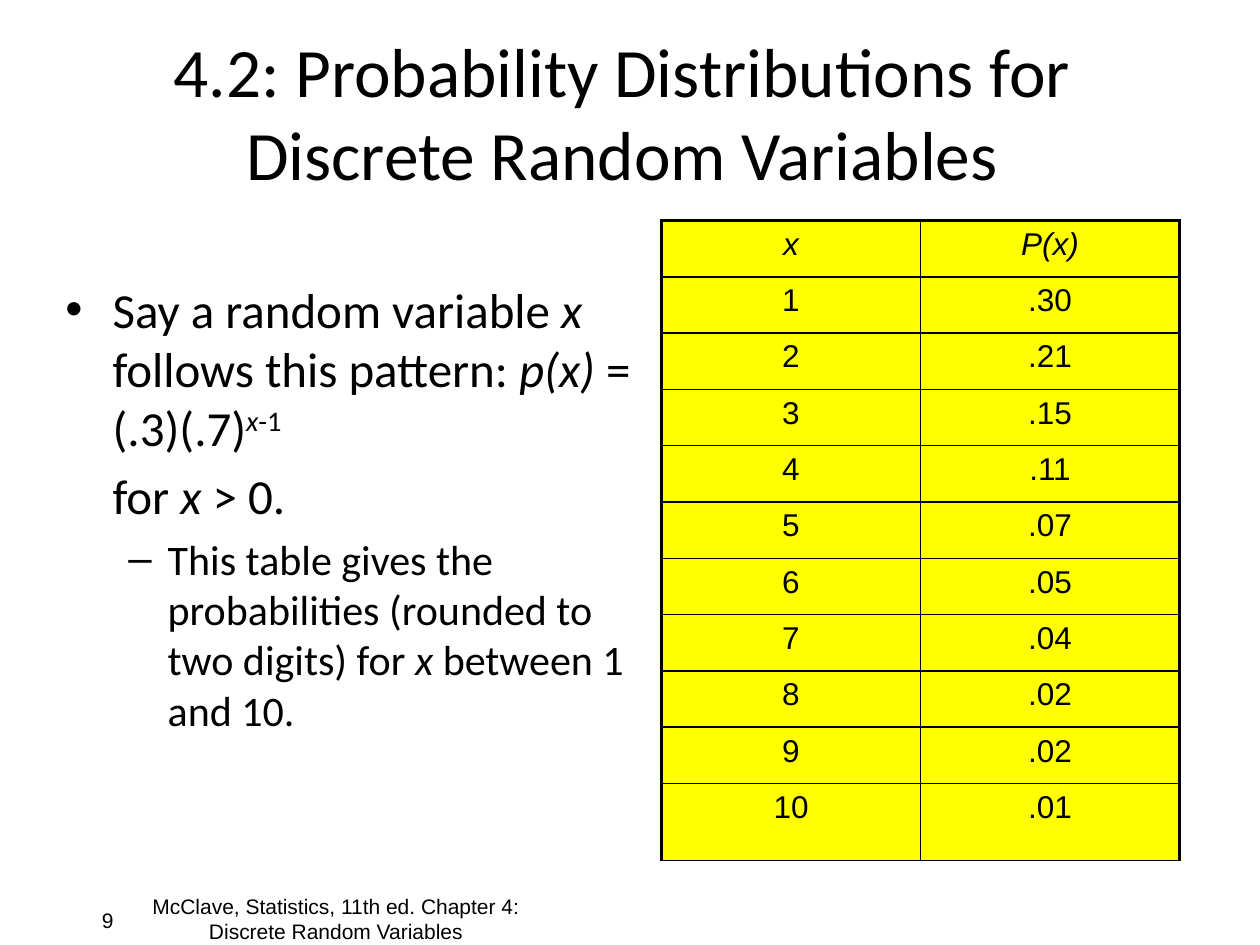
"""Builds a slide on probability distributions with a formula and a value table."""
from lxml import etree
from pptx import Presentation
from pptx.dml.color import RGBColor
from pptx.enum.text import MSO_ANCHOR, MSO_AUTO_SIZE, PP_ALIGN
from pptx.oxml.ns import qn
from pptx.util import Pt

CENTER, RIGHT, LEFT = PP_ALIGN.CENTER, PP_ALIGN.RIGHT, PP_ALIGN.LEFT
TOP, MIDDLE = MSO_ANCHOR.TOP, MSO_ANCHOR.MIDDLE
NO_FIT = MSO_AUTO_SIZE.NONE
BLACK, YELLOW = "000000", "FFFF00"


def color(value):
    return RGBColor.from_string(value)


def add_span(para, text, size, name, **extra):
    span = para.add_run()
    span.text = text
    for key, value in {"size": Pt(size), "name": name, **extra}.items():
        setattr(span.font, key, value)
    span.font.color.rgb = color(BLACK)
    return span


deck = Presentation()
deck.slide_width, deck.slide_height = Pt(720), Pt(540)
page = deck.slides.add_slide(deck.slide_layouts[5])

title = page.shapes.title
place = {"left": 73.5, "top": 8, "width": 564, "height": 111.5}
for key, value in place.items():
    setattr(title, key, Pt(value))
frame_format = {"word_wrap": True, "auto_size": NO_FIT, "vertical_anchor": MIDDLE}
for key, value in frame_format.items():
    setattr(title.text_frame, key, value)
title_para = title.text_frame.paragraphs[0]
title_para.alignment = CENTER
add_span(title_para, "4.2: Probability Distributions for Discrete Random Variables", 39.6, "Calibri")

body = page.shapes.add_textbox(Pt(30.25), Pt(156.25), Pt(340.5), Pt(324))
frame_format["vertical_anchor"] = TOP
for key, value in frame_format.items():
    setattr(body.text_frame, key, value)

PLAIN, ITALIC, RAISED, RAISED_ITALIC = (False, 0), (True, 0), (False, 30), (True, 30)
body_paras = [
    ("•", 28, 27, -27, [
        ("Say a random variable ", PLAIN), ("x", ITALIC),
        (" follows this pattern: ", PLAIN), ("p(x)", ITALIC),
        (" = (.3)(.7)", PLAIN), ("x", RAISED_ITALIC), ("-1", RAISED)]),
    (None, 28, 27, 0, [("for ", PLAIN), ("x", ITALIC), (" > 0.", PLAIN)]),
    ("–", 24, 58.5, -22.5, [
        ("This table gives the probabilities (rounded to two digits) for ", PLAIN),
        ("x", ITALIC), (" between 1 and 10.", PLAIN)]),
]
for index, (bullet, size, margin, indent, spans) in enumerate(body_paras):
    para = body.text_frame.add_paragraph() if index else body.text_frame.paragraphs[0]
    para.alignment = LEFT
    para.level = 1 if size == 24 else 0
    if index:
        para.space_before = Pt(size * 0.2)
    settings = para._p.get_or_add_pPr()
    settings.set("marL", str(Pt(margin)))
    settings.set("indent", str(Pt(indent)))
    if bullet:
        etree.SubElement(settings, qn("a:buFont"), typeface="Arial")
        etree.SubElement(settings, qn("a:buChar"), char=bullet)
    else:
        etree.SubElement(settings, qn("a:buNone"))
    for text, (italic, baseline) in spans:
        span = add_span(para, text, size, "Calibri", italic=italic)
        if baseline:
            span._r.get_or_add_rPr().set("baseline", str(baseline * 1000))

probabilities = [".30", ".21", ".15", ".11", ".07", ".05", ".04", ".02", ".02", ".01"]
rows = [("x", "P(x)")] + [(str(x), p) for x, p in enumerate(probabilities, 1)]
table = page.shapes.add_table(len(rows), 2, Pt(378), Pt(126), Pt(296), Pt(366)).table
table.first_row = table.horz_banding = False
for column in table.columns:
    column.width = Pt(148)
for row_index, values in enumerate(rows):
    table.rows[row_index].height = Pt(44 if row_index == len(rows) - 1 else 32.2)
    for column_index, text in enumerate(values):
        cell = table.cell(row_index, column_index)
        borders = {
            "lnL": 2.25 if column_index == 0 else 1,
            "lnR": 2.25 if column_index == 1 else 1,
            "lnT": 2.25 if row_index == 0 else 1,
            "lnB": 1,
        }
        for side, width in borders.items():
            line = etree.SubElement(cell._tc.get_or_add_tcPr(), qn(f"a:{side}"), w=str(Pt(width)))
            fill = etree.SubElement(line, qn("a:solidFill"))
            etree.SubElement(fill, qn("a:srgbClr"), val=BLACK)
        cell.fill.solid()
        cell.fill.fore_color.rgb = color(YELLOW)
        para = cell.text_frame.paragraphs[0]
        para.alignment = CENTER
        add_span(para, text, 18, "Arial", italic=row_index == 0)

footers = [
    ("9", RIGHT, 0, 511.25, 72, 28.75),
    ("McClave, Statistics, 11th ed. Chapter 4: Discrete Random Variables",
     CENTER, 78, 516, 228, 18),
]
frame_format["vertical_anchor"] = MIDDLE
for text, alignment, left, top, width, height in footers:
    box = page.shapes.add_textbox(Pt(left), Pt(top), Pt(width), Pt(height))
    for key, value in frame_format.items():
        setattr(box.text_frame, key, value)
    para = box.text_frame.paragraphs[0]
    para.alignment = alignment
    add_span(para, text, 12, "Arial")

deck.save("out.pptx")
